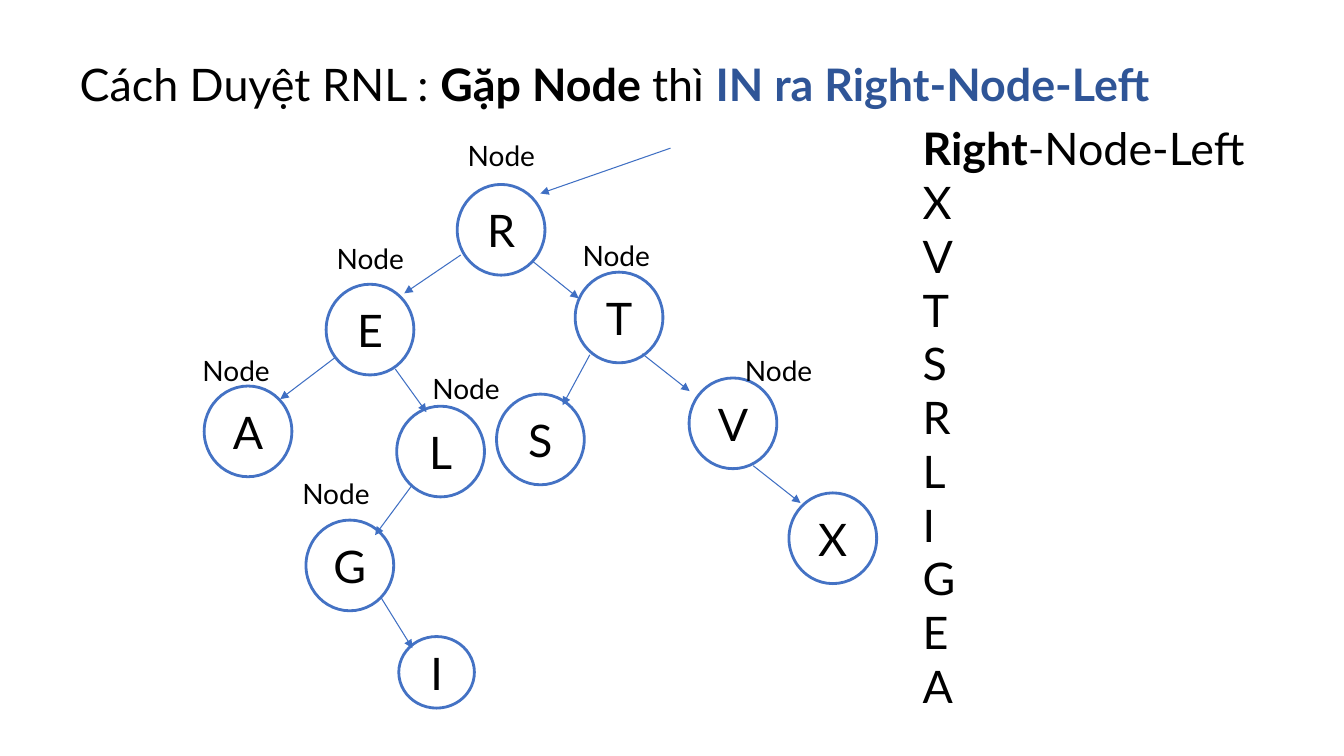
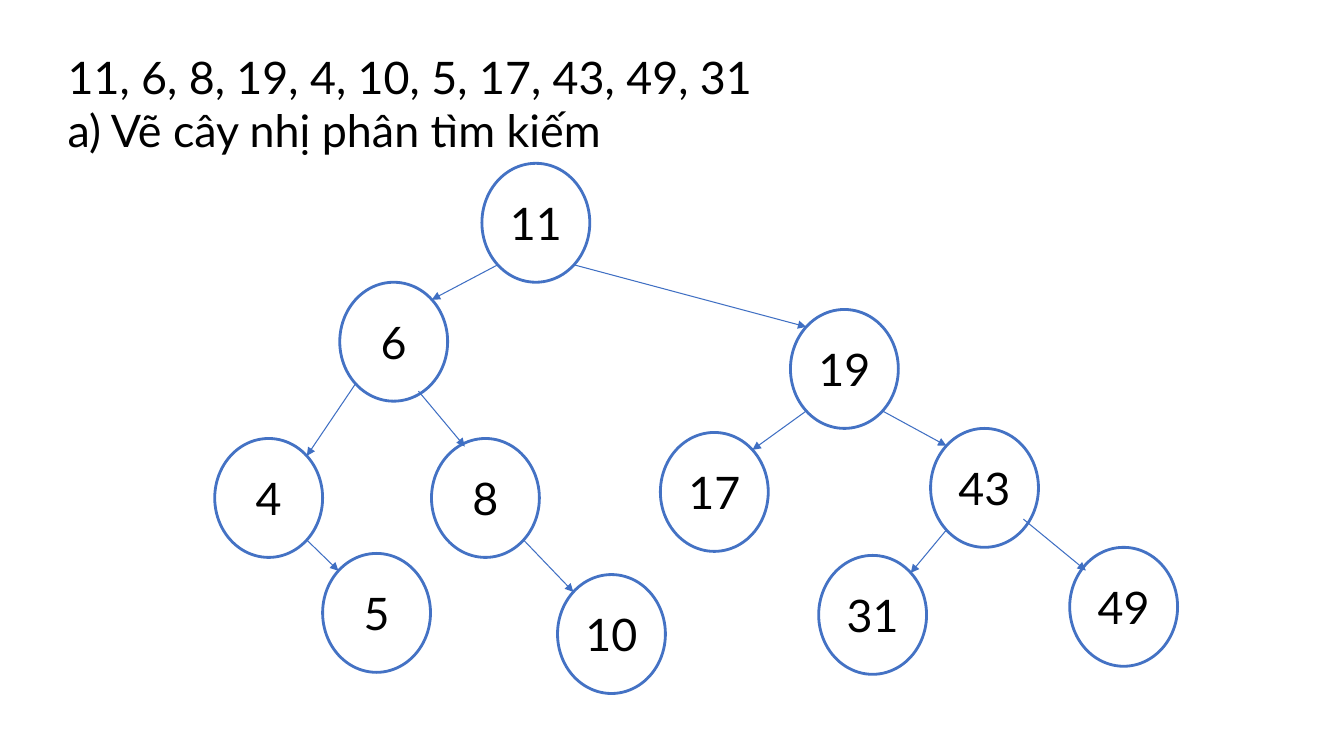
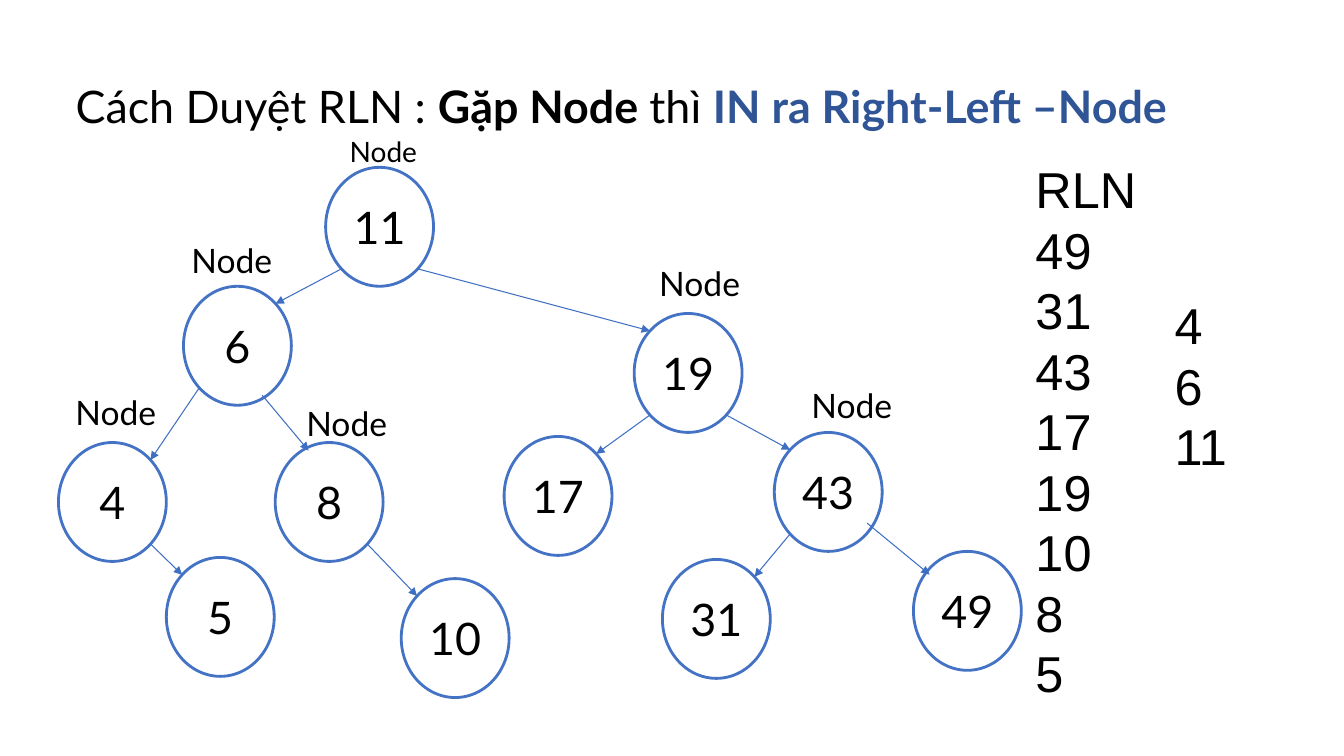
from dataclasses import dataclass
from math import sqrt

from lxml.etree import SubElement
from pptx import Presentation
from pptx.dml.color import RGBColor as Rgb
from pptx.enum.shapes import MSO_CONNECTOR as Conn, MSO_SHAPE as Geo
from pptx.enum.text import MSO_ANCHOR as Anchor, MSO_AUTO_SIZE as Fit, PP_ALIGN as Align
from pptx.oxml.ns import qn
from pptx.util import Inches, Pt


@dataclass(frozen=True)
class Theme:
    font: str = "Lato"
    alt: str = "Arial"
    ink: str = "000000"
    paper: str = "FFFFFF"
    ring: str = "4472C4"
    arrow: str = "3F6FC3"
    accent: str = "2F5597"
    main: int = 32
    large: int = 36
    mid: int = 24
    small: int = 20


T = Theme()
BOLD = {"bold": True}
MARK = {"bold": True, "color": T.accent}
DIAG = sqrt(0.5)

# Letter tree: centre of each node, then arrow ends and label places
LETTERS = {
    "R": (4.97, 2.28), "E": (3.67, 3.27), "T": (6.14, 3.15),
    "A": (2.46, 4.28), "L": (4.37, 4.48), "S": (5.36, 4.36),
    "V": (7.27, 4.2), "X": (8.26, 5.34), "G": (3.47, 5.61),
    "I": (4.33, 6.67),
}
SIZES = {"I": (0.75, 0.71)}
ARROWS = [
    (5.28, 2.59, 5.74, 2.96), (6.37, 3.51, 6.84, 3.88),
    (7.47, 4.62, 7.94, 4.99), (5.85, 3.52, 5.58, 4.02),
    (4.57, 2.53, 4.01, 2.91), (3.92, 3.66, 4.23, 4.09),
    (3.78, 5.93, 4.09, 6.43), (3.32, 3.55, 2.78, 3.96),
    (4.09, 4.81, 3.72, 5.31), (6.65, 1.47, 5.36, 1.92),
]
TAGS = [(4.54, 1.32), (3.24, 2.35), (1.91, 3.46), (5.68, 2.32),
        (7.29, 3.46), (4.19, 3.64), (2.9, 4.68)]

# Number tree: top left of each node, links from parent to child
NUMBERS = {
    "11": (4.78, 1.62), "6": (3.37, 2.8), "19": (7.84, 3.07),
    "4": (2.13, 4.35), "8": (4.28, 4.35), "17": (6.55, 4.29),
    "43": (9.23, 4.25), "5": (3.2, 5.49), "10": (5.53, 5.7),
    "31": (8.12, 5.51), "49": (10.61, 5.43),
}
WIDE, HIGH = 1.07, 1.18
LINKS = [("11", "6"), ("11", "19"), ("6", "4"), ("4", "5"), ("8", "10"),
         ("19", "17"), ("19", "43"), ("43", "31")]
LOOSE = [(4.15, 3.88, 4.61, 4.43), (10.15, 5.15, 10.77, 5.66)]
MARKS = [(1.8, 2.33), (0.65, 3.84), (2.94, 3.95), (6.44, 2.56), (7.95, 3.77)]


def place(shape, box):
    for name, val in zip(("left", "top", "width", "height"), box):
        setattr(shape, name, Inches(val))


def style(font, size=T.main, name=T.font, bold=False, color=T.ink):
    for key, val in {"size": Pt(size), "name": name, "bold": bold}.items():
        setattr(font, key, val)
    font.color.rgb = Rgb.from_string(color)


def write(frame, lines, align=Align.LEFT, pitch=None, **base):
    """Fill a frame; a line is a string or a list of (text, format) runs."""
    for i, line in enumerate(lines):
        para = frame.paragraphs[0] if i == 0 else frame.add_paragraph()
        look = {"alignment": align, "space_before": Pt(0)}
        if pitch:
            look["line_spacing"] = Pt(pitch)
        for key, val in look.items():
            setattr(para, key, val)
        for text, form in [(line, {})] if isinstance(line, str) else line:
            run = para.add_run()
            run.text = text
            style(run.font, **{**base, **form})


def fill(holder, box, lines, **form):
    """Move a placeholder and fill it from the top, without bullets."""
    place(holder, box)
    frame = holder.text_frame
    look = {"auto_size": Fit.NONE, "word_wrap": True, "vertical_anchor": Anchor.TOP}
    for key, val in look.items():
        setattr(frame, key, val)
    write(frame, lines, **form)
    for para in frame.paragraphs:
        props = para._p.get_or_add_pPr()
        for key in ("marL", "indent"):
            props.set(key, "0")
        SubElement(props, qn("a:buNone"))


def node(slide, text, x, y, wide, high):
    ring = slide.shapes.add_shape(Geo.OVAL, *map(Inches, (x, y, wide, high)))
    ring.shadow.inherit = False
    ring.fill.solid()
    ring.fill.fore_color.rgb = Rgb.from_string(T.paper)
    ring.line.color.rgb = Rgb.from_string(T.ring)
    ring.line.width = Pt(2)
    frame = ring.text_frame
    frame.vertical_anchor = Anchor.MIDDLE
    for side in ("left", "right", "top", "bottom"):
        setattr(frame, f"margin_{side}", 0)
    write(frame, [text], align=Align.CENTER)


def arrow(slide, *ends):
    line = slide.shapes.add_connector(Conn.STRAIGHT, *map(Inches, ends))
    line.line.color.rgb = Rgb.from_string(T.arrow)
    line.line.width = Pt(0.75)
    SubElement(line.line._get_or_add_ln(), qn("a:tailEnd"), type="triangle")
    SubElement(line._element.spPr, qn("a:effectLst"))


def label(slide, x, y, size):
    box = slide.shapes.add_textbox(*map(Inches, (x, y, 1.2, 0.5)))
    box.text_frame.word_wrap = True
    write(box.text_frame, ["Node"], size=size)


def tree(slide, dx=0, dy=0):
    """Draw the number tree; links run between the rings' diagonal points."""
    spots = {key: (x + dx, y + dy) for key, (x, y) in NUMBERS.items()}
    for key, (x, y) in spots.items():
        node(slide, key, x, y, WIDE, HIGH)
    for top, low in LINKS:
        (x1, y1), (x2, y2) = spots[top], spots[low]
        way = 1 if x2 > x1 else -1
        run, drop = way * DIAG * WIDE / 2, DIAG * HIGH / 2
        arrow(slide, x1 + WIDE / 2 + run, y1 + HIGH / 2 + drop,
              x2 + WIDE / 2 - run, y2 + HIGH / 2 - drop)
    for x1, y1, x2, y2 in LOOSE:
        arrow(slide, x1 + dx, y1 + dy, x2 + dx, y2 + dy)


def heading(order, tail):
    return [[(f"Cách Duyệt {order} : ", {}), ("Gặp Node ", BOLD),
             ("thì ", {}), (f"IN ra {tail}", MARK)]]


def letters(deck):
    slide = deck.slides.add_slide(deck.slide_layouts[1])
    fill(slide.shapes.title, (0.69, 0.51, 12.19, 0.64),
         heading("RNL", "Right-Node-Left"))
    fill(slide.placeholders[1], (9.05, 1.15, 4.2, 6.1),
         [[("Right", BOLD), ("-Node-Left", {})], *"XVTSRLIGEA"])
    for key, (x, y) in LETTERS.items():
        wide, high = SIZES.get(key, (0.87, 0.9))
        node(slide, key, x - wide / 2, y - high / 2, wide, high)
    for ends in ARROWS:
        arrow(slide, *ends)
    for x, y in TAGS:
        label(slide, x, y, T.small)


def numbers(deck):
    slide = deck.slides.add_slide(deck.slide_layouts[5])
    fill(slide.shapes.title, (0.57, 0.44, 12.4, 1.18),
         ["11, 6, 8, 19, 4, 10, 5, 17, 43, 49, 31",
          "a) Vẽ cây nhị phân tìm kiếm"])
    tree(slide)


def visit(deck):
    slide = deck.slides.add_slide(deck.slide_layouts[3])
    fill(slide.shapes.title, (0.65, 0.73, 11.44, 0.64),
         heading("RLN", "Right-Left –Node"))
    form = {"size": T.large, "name": T.alt, "pitch": 43.2}
    fill(slide.placeholders[1], (10.17, 1.52, 1.39, 5.6),
         ["RLN", "49", "31", "43", "17", "19", "10", "8", "5"], **form)
    fill(slide.placeholders[2], (11.55, 2.87, 0.94, 2), ["4", "6", "11"], **form)
    tree(slide, -1.55, 0.04)
    label(slide, 3.37, 1.29, T.small)
    for x, y in MARKS:
        label(slide, x, y, T.mid)


def main():
    deck = Presentation()
    deck.slide_width, deck.slide_height = Inches(13.33), Inches(7.5)
    for build in (letters, numbers, visit):
        build(deck)
    deck.save("out.pptx")


if __name__ == "__main__":
    main()
